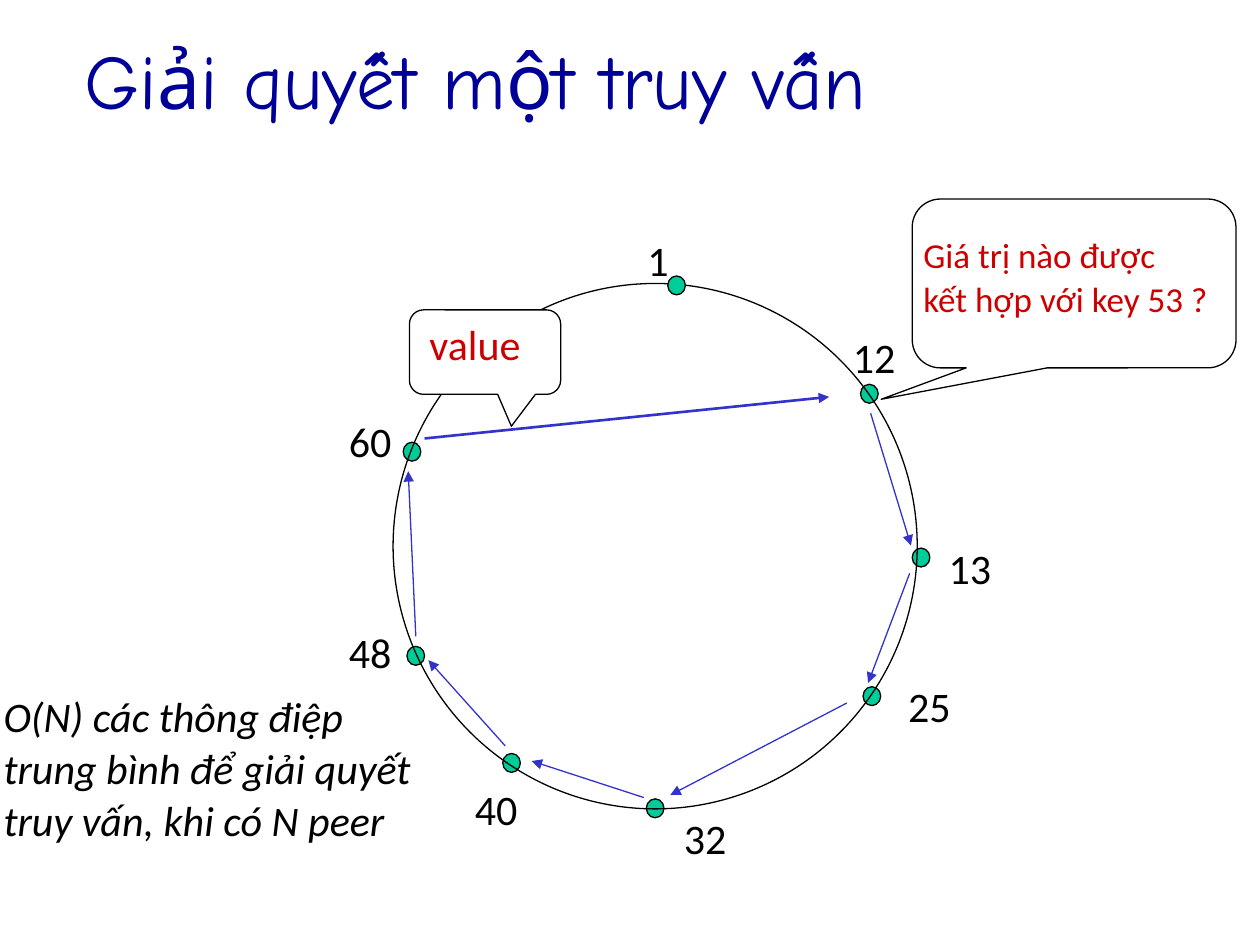
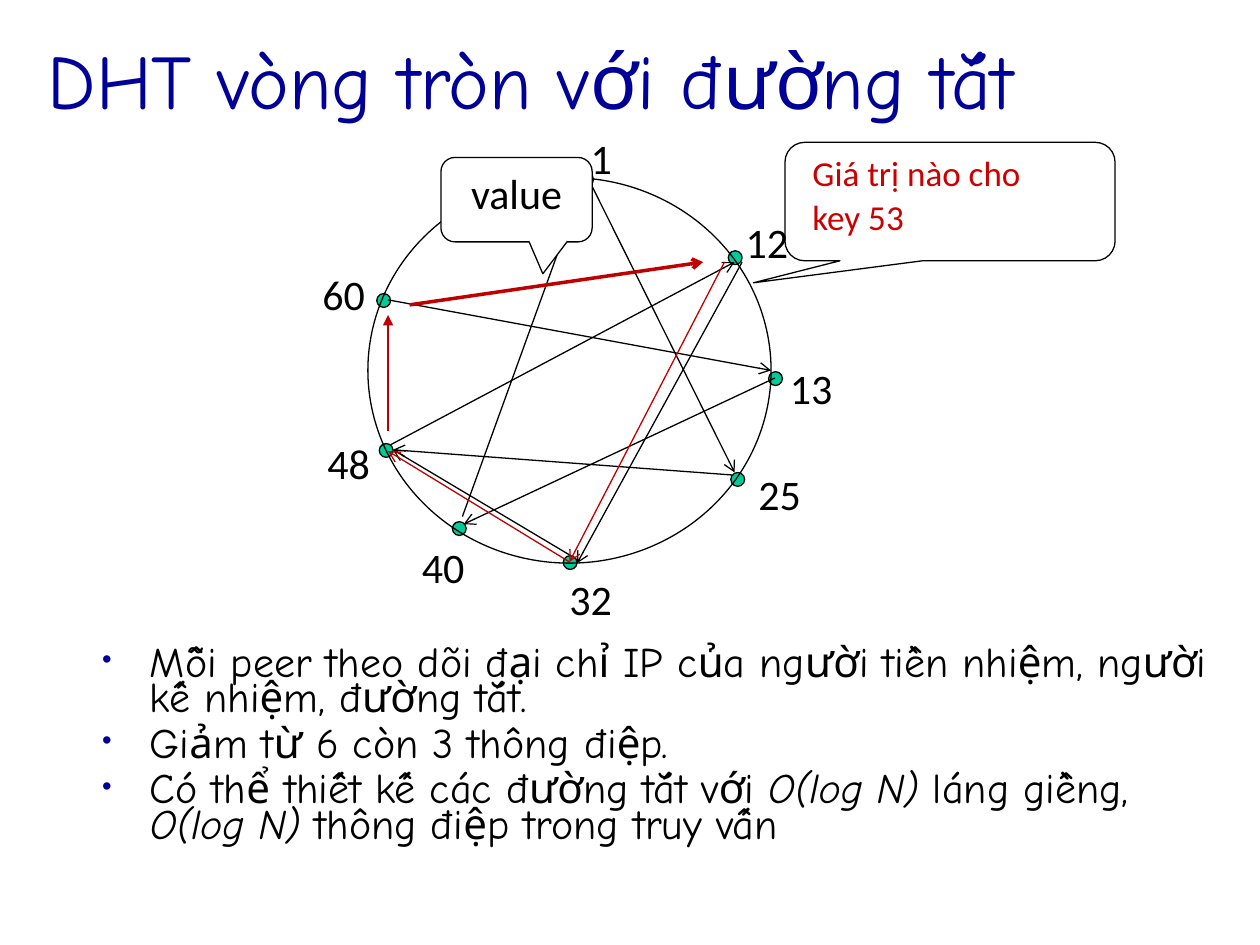
"""Build two slides on resolving a query in a circular DHT, without and with shortcuts."""
from dataclasses import dataclass
from typing import NamedTuple, Optional, Sequence, Union

from lxml.etree import SubElement
from pptx import Presentation
from pptx.dml.color import RGBColor
from pptx.enum.shapes import MSO_CONNECTOR, MSO_SHAPE
from pptx.enum.text import MSO_ANCHOR, MSO_AUTO_SIZE, PP_ALIGN
from pptx.oxml.ns import qn
from pptx.shapes.autoshape import Shape
from pptx.slide import Slide
from pptx.text.text import TextFrame
from pptx.util import Inches, Length, Pt

COLUMNS, ROWS = 10, 7.5
SLIDE_WIDTH, SLIDE_HEIGHT = Inches(10), Inches(7.5)


@dataclass(frozen=True)
class Theme:
    """Colours, fonts, type sizes and line widths of both slides."""
    navy: str = "000099"
    black: str = "000000"
    white: str = "FFFFFF"
    peer: str = "00CC99"
    hop: str = "3333CC"
    speech: str = "CC0000"
    route: str = "C00000"
    heading_font: str = "Comic Neue"
    label_font: str = "Calibri"
    heading_size: float = 44
    label_size: float = 24
    question_size: float = 20
    thin: float = 0.75


THEME = Theme()


class Point(NamedTuple):
    """A place in grid columns and rows."""
    x: float
    y: float


class Box(NamedTuple):
    """A rectangle in grid columns and rows."""
    x: float
    y: float
    width: float
    height: float


class Span(NamedTuple):
    """A stretch of text that may be italic."""
    text: str
    italic: bool = False


class Peer(NamedTuple):
    """A peer's key, the corner of its dot and the corner of its label."""
    key: str
    dot: Point
    label: Point


@dataclass(frozen=True)
class Ring:
    """A circle of peers; the first peer's dot lies in front."""
    circle: Box
    dot_width: float
    dot_height: float
    peers: Sequence[Peer]


@dataclass(frozen=True)
class Arrow:
    """A directed line between two points."""
    start: Point
    end: Point
    color: str = THEME.black
    width: float = THEME.thin
    head: str = "arrow"


@dataclass(frozen=True)
class Bubble:
    """A speech bubble, with its words inside or in a box of their own."""
    outline: Box
    pointer: Point
    lines: Sequence[str]
    size: float
    color: str = THEME.speech
    fill: Optional[str] = None
    words: Optional[Box] = None
    wrap: bool = True
    line_spacing: Optional[Length] = None


Paragraph = Union[str, Sequence[Span]]

QUESTION_POINTER = Point(-0.596, 0.686)
ANSWER_POINTER = Point(0.174, 0.878)

PLAIN_RING = Ring(Box(3.12, 2.25, 4.16, 4.17), 0.14, 0.15, (
    Peer("1", Point(5.3, 2.19), Point(5.04, 1.81)),
    Peer("12", Point(6.83, 3.05), Point(6.67, 2.58)),
    Peer("13", Point(7.24, 4.35), Point(7.43, 4.26)),
    Peer("25", Point(6.85, 5.45), Point(7.11, 5.35)),
    Peer("32", Point(5.13, 6.34), Point(5.33, 6.4)),
    Peer("40", Point(3.99, 5.98), Point(3.67, 6.17)),
    Peer("48", Point(3.23, 5.13), Point(2.67, 4.92)),
    Peer("60", Point(3.2, 3.51), Point(2.67, 3.25)),
))
PLAIN_HOPS = [Arrow(Point(*start), Point(*end), THEME.hop, width, "triangle")
              for start, end, width in (
    ((6.91, 3.28), (7.23, 4.33), THEME.thin),
    ((7.22, 4.55), (6.89, 5.42), THEME.thin),
    ((6.72, 5.58), (5.32, 6.31), THEME.thin),
    ((5.11, 6.33), (4.22, 6.04), THEME.thin),
    ((4.01, 5.92), (3.4, 5.24), THEME.thin),
    ((3.3, 5.05), (3.24, 3.74), THEME.thin),
    ((3.37, 3.48), (6.58, 3.15), 1.5),
)]
PLAIN_BUBBLES = (
    Bubble(Box(7.24, 1.58, 2.57, 1.34), QUESTION_POINTER,
           ("Giá trị nào được", "kết hợp với key 53 ?"), THEME.question_size,
           words=Box(7.23, 1.86, 2.48, 0.73), wrap=False, line_spacing=Pt(20)),
    Bubble(Box(3.25, 2.46, 1.2, 0.67), ANSWER_POINTER, ("value",), THEME.label_size,
           fill=THEME.white, words=Box(3.31, 2.48, 1.42, 0.5)),
)

SHORTCUT_RING = Ring(Box(2.92, 1.41, 3.2, 3.06), 0.11, 0.11, (
    Peer("1", Point(4.6, 1.37), Point(4.59, 1)),
    Peer("12", Point(5.78, 1.99), Point(5.82, 1.67)),
    Peer("13", Point(6.1, 2.95), Point(6.17, 2.83)),
    Peer("25", Point(5.8, 3.75), Point(5.92, 3.67)),
    Peer("32", Point(4.47, 4.41), Point(4.42, 4.5)),
    Peer("40", Point(3.59, 4.14), Point(3.25, 4.25)),
    Peer("48", Point(3.01, 3.52), Point(2.5, 3.42)),
    Peer("60", Point(2.99, 2.33), Point(2.46, 2.08)),
))
SHORTCUTS = [Arrow(Point(*start), Point(*end)) for start, end in (
    ((6.15, 3), (3.68, 4.16)),
    ((5.81, 3.77), (3.12, 3.57)),
    ((4.53, 4.41), (3.12, 3.57)),
    ((3.67, 4.1), (4.64, 1.42)),
    ((3.1, 3.53), (5.83, 2.08)),
    ((3.08, 2.38), (6.12, 2.94)),
    ((4.69, 1.46), (5.83, 3.75)),
    ((5.89, 2.08), (4.58, 4.47)),
)]
QUERY_ROUTE = (
    Arrow(Point(5.75, 2.08), Point(4.52, 4.46), THEME.route),
    Arrow(Point(4.52, 4.46), Point(3.08, 3.58), THEME.route),
    Arrow(Point(3.25, 2.42), Point(5.58, 2.08), THEME.route, 2),
    Arrow(Point(3.08, 3.42), Point(3.08, 2.5), THEME.route, head="triangle"),
)
SHORTCUT_BUBBLES = (
    Bubble(Box(6.23, 1.13, 2.62, 0.94), QUESTION_POINTER,
           ("Giá trị nào cho", "key 53"), THEME.question_size,
           words=Box(6.35, 1.21, 2.6, 0.73), line_spacing=Pt(20)),
    Bubble(Box(3.5, 1.25, 1.2, 0.67), ANSWER_POINTER, ("value",), THEME.label_size,
           color=THEME.black, fill=THEME.white),
)
SHORTCUT_POINTS = (
    "Mỗi peer theo dõi đại chỉ IP của người tiền nhiệm, người kế nhiệm, đường tắt.",
    "Giảm từ 6 còn 3 thông điệp.",
    (Span("Có thể thiết kế các đường tắt với "), Span("O(log N) ", True),
     Span("láng giềng, "), Span("O(log N) ", True), Span("thông điệp trong truy vấn")),
)


def across(columns: float) -> Length:
    """Turn grid columns into a length."""
    return Length(round(SLIDE_WIDTH * columns / COLUMNS))


def down(rows: float) -> Length:
    """Turn grid rows into a length."""
    return Length(round(SLIDE_HEIGHT * rows / ROWS))


def place(box: Box) -> tuple[Length, Length, Length, Length]:
    """Turn a grid box into left, top, width and height."""
    return across(box.x), down(box.y), across(box.width), down(box.height)


def write(frame: TextFrame, paragraphs: Sequence[Paragraph], *, size: float = THEME.label_size,
          color: str = THEME.black, font: str = THEME.label_font, italic: bool = False,
          align: PP_ALIGN = PP_ALIGN.LEFT, anchor: MSO_ANCHOR = MSO_ANCHOR.TOP,
          wrap: bool = True, line_spacing: Union[Length, float, None] = None,
          space_before: float = 6, bullet: Optional[str] = None) -> None:
    """Fill a text frame with formatted paragraphs."""
    frame.word_wrap = wrap
    frame.auto_size = MSO_AUTO_SIZE.NONE
    frame.vertical_anchor = anchor
    for index, content in enumerate(paragraphs):
        paragraph = frame.add_paragraph() if index else frame.paragraphs[0]
        paragraph.alignment = align
        paragraph.space_before = Pt(space_before if index else 0)
        if line_spacing is not None:
            paragraph.line_spacing = line_spacing
        if bullet:
            add_bullet(paragraph._p.get_or_add_pPr(), bullet)
        for span in ([Span(content)] if isinstance(content, str) else content):
            run = paragraph.add_run()
            run.text = span.text
            run.font.name, run.font.size = font, Pt(size)
            run.font.italic = italic or span.italic
            run.font.color.rgb = RGBColor.from_string(color)


def add_bullet(properties, mark: str) -> None:
    """Give paragraph properties a small navy bullet with a hanging indent."""
    properties.set("marL", str(Inches(0.38)))
    properties.set("indent", str(-Inches(0.38)))
    SubElement(SubElement(properties, qn("a:buClr")), qn("a:srgbClr"), val=THEME.navy)
    SubElement(properties, qn("a:buSzPct"), val="65000")
    SubElement(properties, qn("a:buChar"), char=mark)


def add_outline(slide: Slide, kind: MSO_SHAPE, box: Box, fill: Optional[str] = None) -> Shape:
    """Draw a thin black preset shape, filled or clear."""
    shape = slide.shapes.add_shape(kind, *place(box))
    shape.shadow.inherit = False
    if fill:
        shape.fill.solid()
        shape.fill.fore_color.rgb = RGBColor.from_string(fill)
    else:
        shape.fill.background()
    shape.line.color.rgb = RGBColor.from_string(THEME.black)
    shape.line.width = Pt(THEME.thin)
    return shape


def add_words(slide: Slide, box: Box, paragraphs: Sequence[Paragraph], **style) -> None:
    """Add a text box."""
    write(slide.shapes.add_textbox(*place(box)).text_frame, paragraphs, **style)


def add_ring(slide: Slide, ring: Ring) -> None:
    """Draw the circle with its peers and their keys."""
    def add_dot(peer: Peer) -> None:
        """Draw one peer."""
        add_outline(slide, MSO_SHAPE.OVAL, Box(*peer.dot, ring.dot_width, ring.dot_height),
                    THEME.peer)

    front, *others = ring.peers
    for peer in others:
        add_dot(peer)
    add_outline(slide, MSO_SHAPE.OVAL, ring.circle)
    for peer in ring.peers:
        label_width = 0.2 + 0.17 * len(peer.key)
        add_words(slide, Box(*peer.label, label_width, 0.5), [peer.key], wrap=False)
    add_dot(front)


def add_arrows(slide: Slide, arrows: Sequence[Arrow]) -> None:
    """Draw lines with an arrowhead at the end."""
    for arrow in arrows:
        connector = slide.shapes.add_connector(
            MSO_CONNECTOR.STRAIGHT, across(arrow.start.x), down(arrow.start.y),
            across(arrow.end.x), down(arrow.end.y))
        connector.line.color.rgb = RGBColor.from_string(arrow.color)
        connector.line.width = Pt(arrow.width)
        properties = connector._element.spPr
        SubElement(properties.find(qn("a:ln")), qn("a:tailEnd"), type=arrow.head)
        SubElement(properties, qn("a:effectLst"))


def add_bubbles(slide: Slide, bubbles: Sequence[Bubble]) -> None:
    """Draw speech bubbles with their words."""
    for bubble in bubbles:
        callout = add_outline(slide, MSO_SHAPE.ROUNDED_RECTANGULAR_CALLOUT, bubble.outline,
                              bubble.fill)
        callout.adjustments[0], callout.adjustments[1] = bubble.pointer
        style = dict(size=bubble.size, color=bubble.color, wrap=bubble.wrap,
                     line_spacing=bubble.line_spacing, space_before=5)
        if bubble.words:
            add_words(slide, bubble.words, bubble.lines, **style)
        else:
            write(callout.text_frame, bubble.lines, align=PP_ALIGN.CENTER, **style)


def add_titled_slide(deck, layout: int, title: str, box: Box) -> Slide:
    """Add a slide with the shared title style."""
    slide = deck.slides.add_slide(deck.slide_layouts[layout])
    heading = slide.shapes.title
    heading.left, heading.top, heading.width, heading.height = place(box)
    write(heading.text_frame, [title], size=THEME.heading_size, color=THEME.navy,
          font=THEME.heading_font, anchor=MSO_ANCHOR.MIDDLE)
    return slide


def main() -> None:
    """Build and save both slides."""
    deck = Presentation()
    deck.slide_width, deck.slide_height = SLIDE_WIDTH, SLIDE_HEIGHT

    query = add_titled_slide(deck, 5, "Giải quyết một truy vấn", Box(0.57, 0, 8.5, 1.25))
    add_ring(query, PLAIN_RING)
    add_arrows(query, PLAIN_HOPS)
    add_bubbles(query, PLAIN_BUBBLES)
    add_words(query, Box(-0.07, 5.5, 3.76, 1.26),
              ("O(N) các thông điệp", "trung bình để giải quyết", "truy vấn, khi có N peer"),
              italic=True, wrap=False, line_spacing=Pt(23.7))

    shortcut = add_titled_slide(deck, 1, "DHT vòng tròn với đường tắt", Box(0.28, 0, 9, 1.25))
    points = shortcut.placeholders[1]
    points.left, points.top, points.width, points.height = place(Box(0.71, 5.1, 9, 1.83))
    write(points.text_frame, SHORTCUT_POINTS, font=THEME.heading_font, line_spacing=0.7, bullet="•")
    add_ring(shortcut, SHORTCUT_RING)
    add_arrows(shortcut, SHORTCUTS)
    add_bubbles(shortcut, SHORTCUT_BUBBLES)
    add_arrows(shortcut, QUERY_ROUTE)

    deck.save("out.pptx")


if __name__ == "__main__":
    main()
